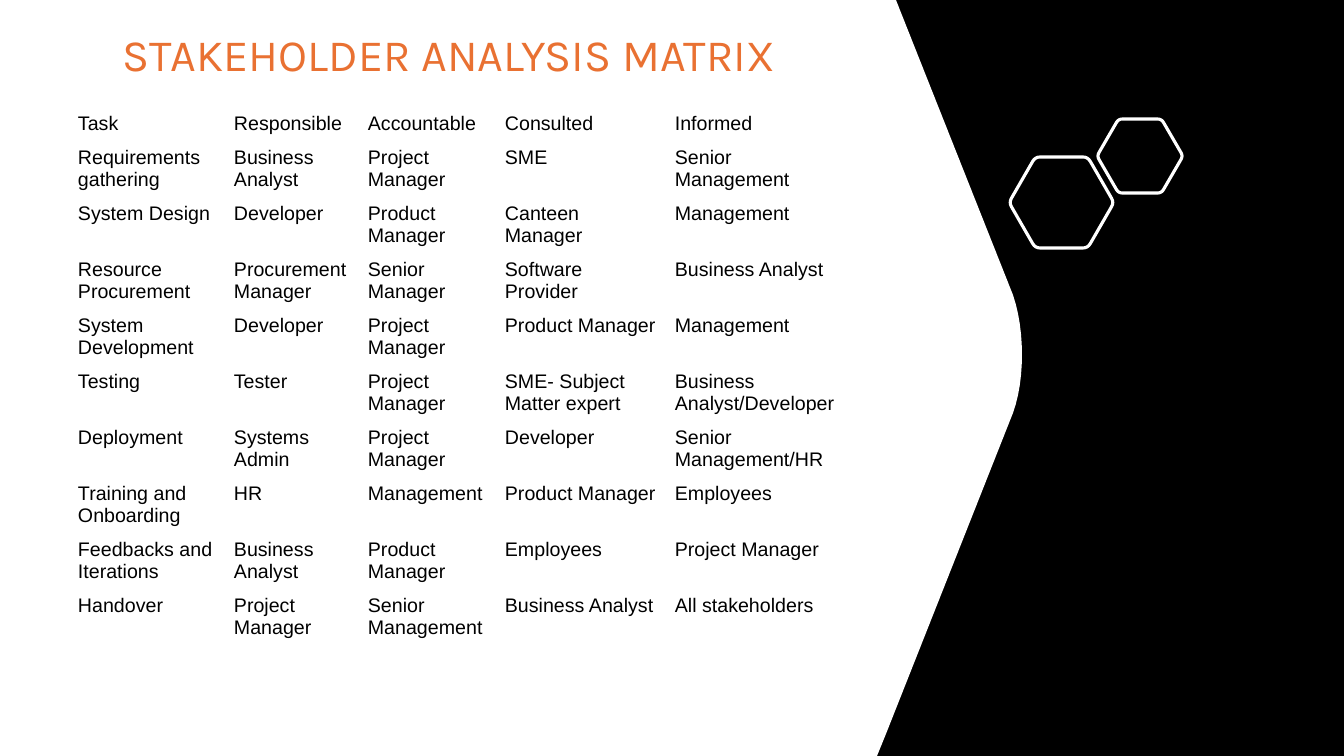
from pptx import Presentation
from pptx import util as u
from pptx.dml.color import RGBColor
from pptx.enum import shapes, text
from pptx.oxml import ns

EMU_PER_PX = 12192000 / 1344
BLACK = RGBColor(0x00, 0x00, 0x00)
WHITE = RGBColor(0xFF, 0xFF, 0xFF)
ORANGE = RGBColor(0xE9, 0x71, 0x32)
NO_STYLE_NO_GRID = "{2D5ABB26-0587-4C30-8999-92F81FD0307C}"
CURVE_STEPS = 12


def px(length):
    return u.Emu(round(length * EMU_PER_PX))


def add_outline(parent, points):
    corners = [(px(x), px(y)) for x, y in points]
    builder = parent.build_freeform(*corners[0], scale=1.0)
    builder.add_line_segments(corners[1:], close=True)
    shape = builder.convert_to_shape()
    shape.shadow.inherit = False
    return shape


presentation = Presentation()
presentation.slide_width, presentation.slide_height = px(1344), px(756)
slide = presentation.slides.add_slide(presentation.slide_layouts[6])

# Black backdrop
backdrop = slide.shapes.add_shape(shapes.MSO_SHAPE.RECTANGLE, 0, 0, px(1344), px(756))
backdrop.shadow.inherit = False
backdrop.fill.solid()
backdrop.fill.fore_color.rgb = BLACK
backdrop.line.fill.background()

# White panel with a rounded point on its right side
bulge = []
for step in range(CURVE_STEPS + 1):
    t = step / CURVE_STEPS
    bulge.append((1013 + 36 * t * (1 - t),
                  295 * (1 - t) ** 3 + 990 * t * (1 - t) ** 2
                  + 1140 * t ** 2 * (1 - t) + 413 * t ** 3))
panel = add_outline(slide.shapes, [(0, 0), (896, 0), *bulge, (886, 734), (877, 756), (0, 756)])
panel.fill.solid()
panel.fill.fore_color.rgb = WHITE
panel.line.fill.background()

# Rounded hexagons: left, top, width, height, corner length
hexagons = slide.shapes.add_group_shape()
for left, top, width, height, corner in [(1009, 157, 105, 91, 5), (1097, 119, 86, 74, 4)]:
    vertices = [(left + width * across, top + height * down) for across, down in
                [(0, 0.5), (0.25, 0), (0.75, 0), (1, 0.5), (0.75, 1), (0.25, 1)]]
    cut = corner / (width / 2)
    points = []
    for index, (x, y) in enumerate(vertices):
        before, after = vertices[index - 1], vertices[(index + 1) % 6]
        for step in range(5):
            t = step / 4
            pull_back, pull_on = cut * (1 - t) ** 2, cut * t ** 2
            points.append((x + pull_back * (before[0] - x) + pull_on * (after[0] - x),
                           y + pull_back * (before[1] - y) + pull_on * (after[1] - y)))
    hexagon = add_outline(hexagons.shapes, points)
    hexagon.fill.background()
    hexagon.line.color.rgb = WHITE
    hexagon.line.width = u.Pt(2.25)

# Stakeholder table
matrix = [
    ["Task", "Responsible", "Accountable", "Consulted", "Informed"],
    ["Requirements gathering", "Business Analyst", "Project Manager", "SME", "Senior Management"],
    ["System Design", "Developer", "Product Manager", "Canteen Manager", "Management"],
    ["Resource Procurement", "Procurement Manager", "Senior Manager", "Software Provider",
     "Business Analyst"],
    ["System Development", "Developer", "Project Manager", "Product Manager", "Management"],
    ["Testing", "Tester", "Project Manager", "SME- Subject Matter expert",
     "Business Analyst/Developer"],
    ["Deployment", "Systems Admin", "Project Manager", "Developer", "Senior Management/HR"],
    ["Training and Onboarding", "HR", "Management", "Product Manager", "Employees"],
    ["Feedbacks and Iterations", "Business Analyst", "Product Manager", "Employees",
     "Project Manager"],
    ["Handover", "Project Manager", "Senior Management", "Business Analyst", "All stakeholders"],
]
column_widths = [156, 134, 137, 170, 180]
row_heights = [34] + [56] * 9
table = slide.shapes.add_table(len(matrix), len(column_widths), px(70), px(109),
                               px(sum(column_widths)), px(sum(row_heights))).table
table.first_row = table.horz_banding = False
table._tbl.tblPr.find(ns.qn("a:tableStyleId")).text = NO_STYLE_NO_GRID
for column, width in zip(table.columns, column_widths):
    column.width = px(width)
for row, height, labels in zip(table.rows, row_heights, matrix):
    row.height = px(height)
    for cell, label in zip(row.cells, labels):
        cell.fill.background()
        cell.margin_left = cell.margin_right = px(8)
        cell.margin_top = cell.margin_bottom = px(4)
        run = cell.text_frame.paragraphs[0].add_run()
        run.text = label
        run.font.name = "Arial"
        run.font.size = u.Pt(14)
        run.font.color.rgb = BLACK

# Title
title = slide.shapes.add_textbox(px(113), px(22), px(692), px(65))
title.text_frame.word_wrap = True
title.text_frame.auto_size = text.MSO_AUTO_SIZE.SHAPE_TO_FIT_TEXT
run = title.text_frame.paragraphs[0].add_run()
run.text = "STAKEHOLDER ANALYSIS MATRIX"
run.font.name = "Karla"
run.font.size = u.Pt(32)
run.font.color.rgb = ORANGE

presentation.save("out.pptx")
